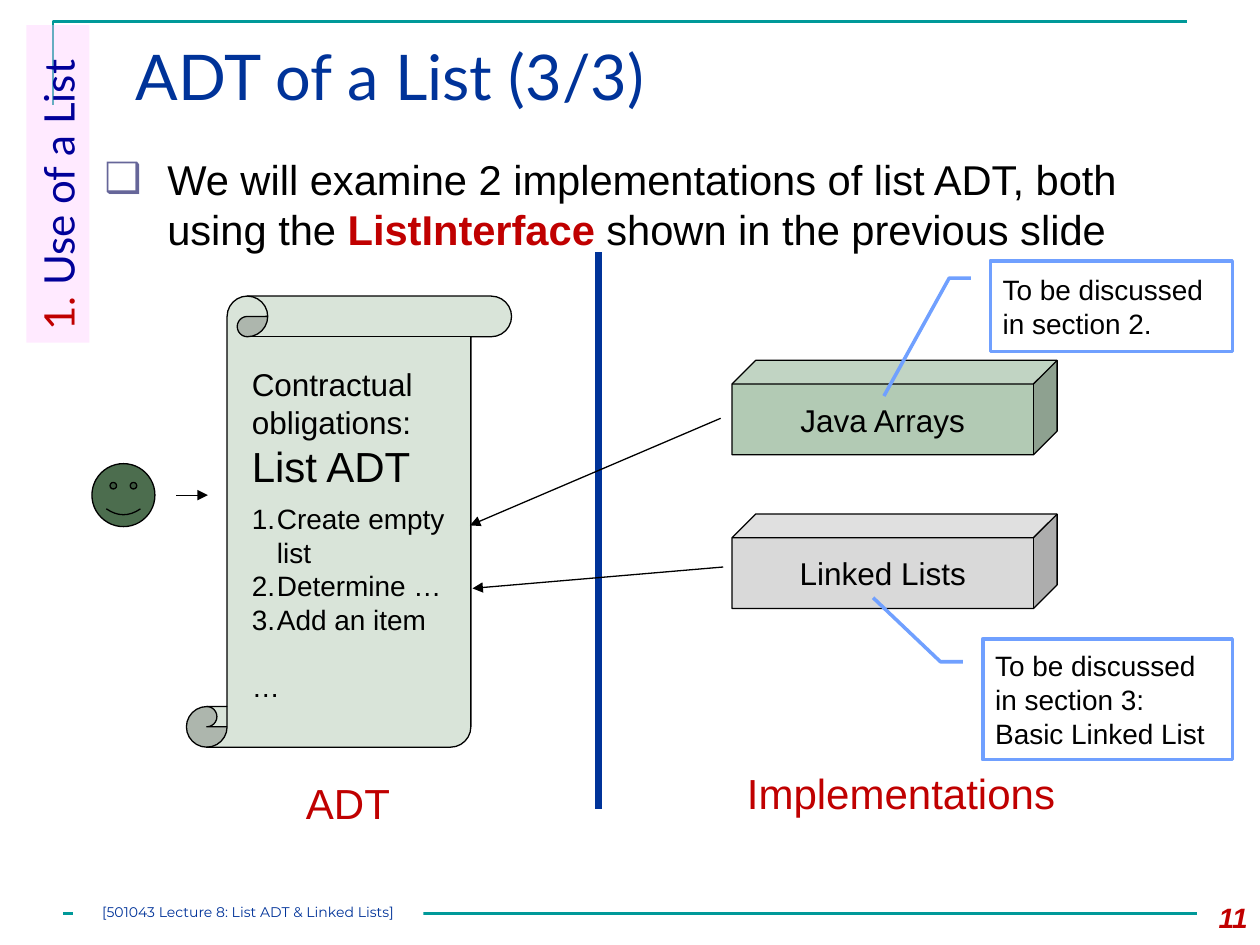
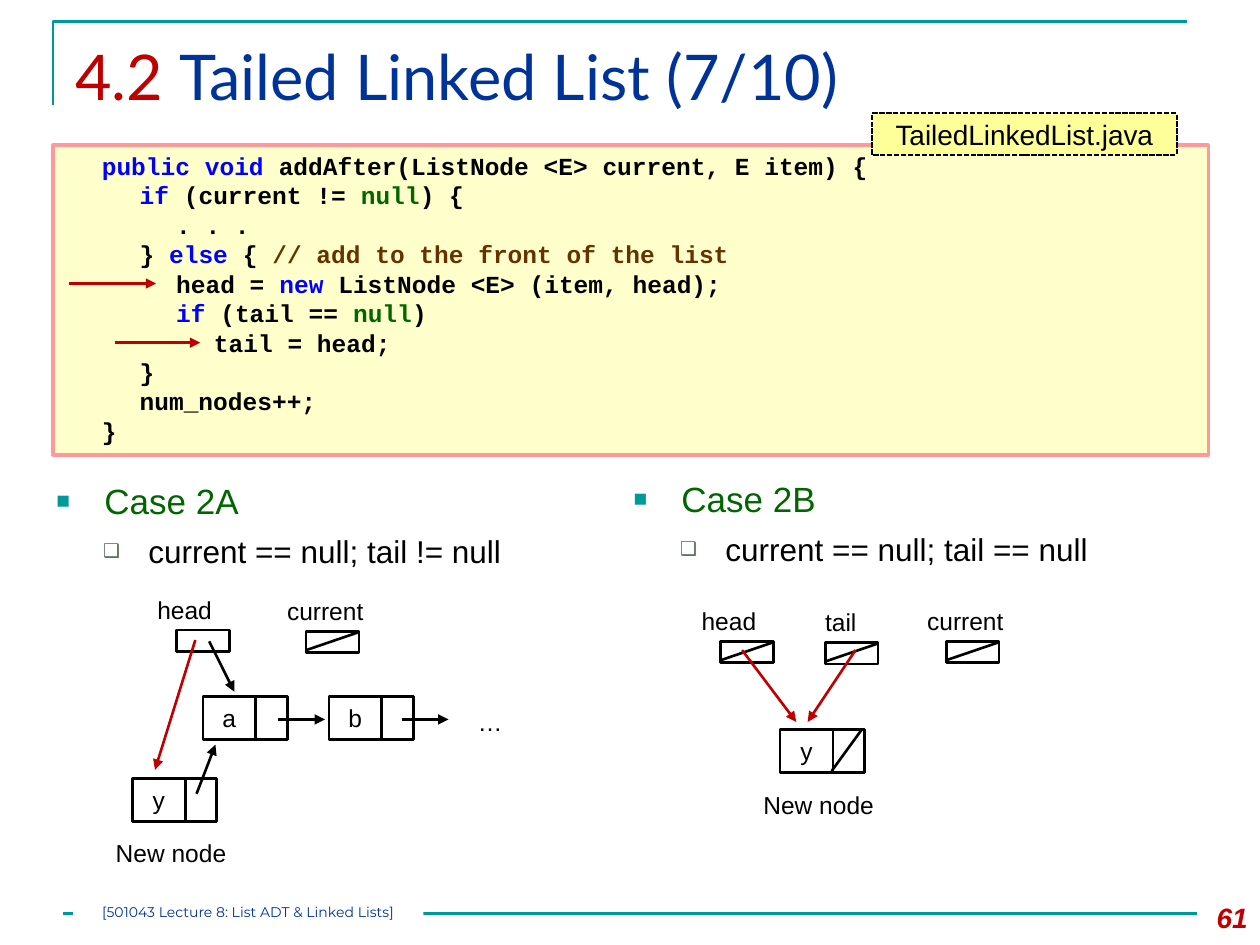
from lxml.etree import SubElement
from pptx import Presentation
from pptx.dml.color import RGBColor
from pptx.enum.dml import MSO_LINE
from pptx.enum.shapes import MSO_CONNECTOR, MSO_SHAPE
from pptx.enum.text import MSO_ANCHOR, PP_ALIGN
from pptx.oxml.ns import qn
from pptx.util import Pt

SCALE = 9144
BLACK, WHITE, RED, NAVY = "000000", "FFFFFF", "C00000", "003399"
TEAL, GREEN, BLUE, MOSS = "009999", "006600", "0000FF", "4C6D4E"
MID = {"vertical_anchor": MSO_ANCHOR.MIDDLE}
FLAT = {f"margin_{side}": 0 for side in ("left", "top", "right", "bottom")}


def px(size):
    return int(size * SCALE)


def tint(code):
    return RGBColor.from_string(code)


def apply(item, values):
    for name, value in values.items():
        setattr(item, name, value)


def para(*runs, left=0, hang=0, mark=None, **form):
    return {"runs": runs, "left": left, "hang": hang, "mark": mark, "form": form}


class Deck:
    def __init__(self):
        self.show = Presentation()
        apply(self.show, {"slide_width": px(1000), "slide_height": px(750)})
        self.look = {"name": "Arial", "size": 14, "color": BLACK}

    def page(self, left, title, number):
        self.slide = self.show.slides.add_slide(self.show.slide_layouts[6])
        self.shapes = self.slide.shapes
        corner = self.shapes.build_freeform(px(42), px(83), 1.0)
        corner.add_line_segments([(px(42), px(17)), (px(942), px(17))], close=False)
        edge = corner.convert_to_shape()
        edge.shadow.inherit = False
        edge.fill.background()
        self.stroke(edge, TEAL, 1.5)
        self.line(50, 725, 950, 725, color=TEAL, arrow=False)
        self.box((58, 717, 278, 20), ["[501043 Lecture 8: List ADT & Linked Lists]"],
                 fill=WHITE, align=PP_ALIGN.CENTER, frame=FLAT,
                 name="Montserrat", size=8, color=NAVY)
        self.text((left, 25, 950 - left, 86), [title], name="Lato", size=36, color=NAVY)
        self.text((933, 710, 67, 40), [number], align=PP_ALIGN.RIGHT,
                  size=16, color=RED, bold=True, italic=True)

    def stroke(self, item, color, width):
        item.line.color.rgb = tint(color)
        item.line.width = Pt(width)

    def bullet(self, part, mark):
        sign, color, size = mark
        props = part._p.get_or_add_pPr()
        if color:
            shade = SubElement(props, qn("a:buClr"))
            SubElement(shade, qn("a:srgbClr"), val=color)
        SubElement(props, qn("a:buSzPct"), val=str(size * 1000))
        SubElement(props, qn("a:buFont"), typeface="Arial")
        if sign == "1.":
            SubElement(props, qn("a:buAutoNum"), type="arabicPeriod")
        else:
            SubElement(props, qn("a:buChar"), char=sign)

    def typeset(self, frame, paras, align=PP_ALIGN.LEFT, **look):
        for index, item in enumerate(paras):
            item = item if isinstance(item, dict) else para(item)
            part = frame.add_paragraph() if index else frame.paragraphs[0]
            props = part._p.get_or_add_pPr()
            props.set("marL", str(px(item["left"])))
            props.set("indent", str(px(-item["hang"])))
            if item["mark"]:
                self.bullet(part, item["mark"])
            apply(part, {"alignment": align, **item["form"]})
            for run in item["runs"]:
                words, extra = (run, {}) if isinstance(run, str) else run
                font = {**self.look, **look, **extra}
                piece = part.add_run()
                piece.text = words
                piece.font.color.rgb = tint(font.pop("color"))
                font["size"] = Pt(font["size"])
                apply(piece.font, font)

    def text(self, spot, paras, frame={}, **look):
        item = self.shapes.add_textbox(*map(px, spot))
        apply(item.text_frame, {"word_wrap": True, **frame})
        self.typeset(item.text_frame, paras, **look)

    def box(self, spot, paras=(), kind=MSO_SHAPE.RECTANGLE, fill=None, line=None,
            width=1.5, bends=(), frame={}, **look):
        item = self.shapes.add_shape(kind, *map(px, spot))
        item.shadow.inherit = False
        if fill:
            item.fill.solid()
            item.fill.fore_color.rgb = tint(fill)
        else:
            item.fill.background()
        if line:
            self.stroke(item, line, width)
        else:
            item.line.fill.background()
        for index, bend in enumerate(bends):
            item.adjustments[index] = bend
        top = {"word_wrap": True, "vertical_anchor": MSO_ANCHOR.TOP}
        apply(item.text_frame, {**top, **frame})
        self.typeset(item.text_frame, paras, **look)
        return item

    def line(self, x1, y1, x2, y2, color=BLACK, width=1.5, arrow=True):
        item = self.shapes.add_connector(MSO_CONNECTOR.STRAIGHT, *map(px, (x1, y1, x2, y2)))
        self.stroke(item, color, width)
        SubElement(item._element.spPr, qn("a:effectLst"))
        if arrow:
            SubElement(item.line._get_or_add_ln(), qn("a:tailEnd"), type="triangle")

    def cube(self, top, name, fill):
        self.box((581, top, 258, 75), [name], MSO_SHAPE.CUBE, fill, BLACK, 0.75,
                 frame=MID, align=PP_ALIGN.CENTER, size=18)

    def note(self, spot, words, drop):
        self.box(spot, [words], MSO_SHAPE.LINE_CALLOUT_2, WHITE, "70A0FF", 2,
                 bends=(0.19, -0.08, 0.19, -0.17, drop, -0.44), frame=MID, size=16)

    def ref(self, left, top, name, null=True, inset=25):
        self.text((left, top, 86, 34), [name])
        x, y = left + inset, top + 33
        self.box((x, y, 42, 17), fill=WHITE, line=BLACK)
        if null:
            self.line(x, y + 15, x + 41, y + 1, arrow=False)

    def node(self, left, top, name):
        self.box((left, top, 42, 34), [name], line=BLACK, align=PP_ALIGN.CENTER)
        self.box((left + 42, top, 25, 34), line=BLACK)

    def case(self, left, top, name, test):
        self.text((left, top, 440, 103), [
            para((name, {"size": 20, "color": GREEN}),
                 left=38, hang=38, mark=("■", TEAL, 65)),
            para(test, left=73, hang=36, mark=("❑", MOSS, 60), space_before=Pt(6)),
        ], size=18)


def adt(deck):
    deck.page(98, "ADT of a List (3/3)", "11")
    deck.text((73, 117, 877, 97), [para(
        "We will examine 2 implementations of list ADT, both using the ",
        ("ListInterface ", {"color": RED, "bold": True}),
        "shown in the previous slide",
        left=50, hang=50, mark=("❑", "666699", 100))], size=23.8)
    deck.line(475, 200, 475, 642, NAVY, 4.5, False)

    deck.box((148, 235, 258, 358), kind=MSO_SHAPE.VERTICAL_SCROLL,
             fill="D9E4D9", line=BLACK, width=0.75)
    steps = ["Create empty list", "Determine …", "Add an item"]
    big = {"size": 18}
    deck.text((190, 285, 177, 281), [
        para(("Contractual", big)),
        para(("obligations:", big)),
        para(("List ADT", {"size": 24}), space_after=Pt(6)),
        *[para(step, left=20, hang=20, mark=("1.", None, 100)) for step in steps],
        para("…", space_before=Pt(19)),
    ], size=16)
    deck.box((73, 368, 50, 50), kind=MSO_SHAPE.SMILEY_FACE, fill=MOSS,
             line=BLACK, width=0.75)
    deck.line(140, 393, 165, 393, width=0.75)
    deck.line(572, 332, 373, 417, width=0.75)
    deck.line(574, 450, 375, 467, width=0.75)
    deck.cube(286, "Java Arrays", "B2CAB4")
    deck.cube(408, "Linked Lists", "D9D9D9")
    for spot, name in (((233, 612, 88, 50), "ADT"),
                       ((583, 604, 267, 50), "Implementations")):
        deck.text(spot, [name], frame={"word_wrap": False}, size=24, color=RED)
    deck.note((786, 207, 192, 72), "To be discussed in section 2.", 1.49)
    deck.note((780, 507, 198, 96),
              "To be discussed in section 3: Basic Linked List", -0.34)
    tab = deck.box((-80, 121, 252, 50),
                   [para(("1. ", {"color": RED}), "Use of a List")],
                   fill="FFCCFF", name="Lato", size=24, color="000099")
    tab.rotation = 270
    shade = tab._element.spPr.find(".//" + qn("a:srgbClr"))
    SubElement(shade, qn("a:alpha"), val="40000")


def tail(deck):
    deck.page(50, para(("4.2 ", {"color": RED}), "Tailed Linked List (7/10)"), "61")
    key, null = {"color": BLUE}, ("null", {"color": GREEN})
    code = [
        (1, ("public void ", key), "addAfter(ListNode <E> current, E item) {"),
        (2, ("if ", key), "(current != ", null, ") {"),
        (3, ". . ."),
        (2, "} ", ("else", key), " { ",
         ("// add to the front of the list", {"color": "663300"})),
        (3, "head = ", ("new", key), " ListNode <E> (item, head);"),
        (3, ("if", key), " (tail == ", null, ")"),
        (4, "tail = head;"),
        (2, "}"),
        (2, "num_nodes++;"),
        (1, "}"),
    ]
    deck.box((42, 115, 917, 246),
             [para(*runs, left=depth * 118 // 4) for depth, *runs in code],
             fill="FFFFCC", line="FF9999", width=2, name="Courier New", bold=True)
    label = deck.box((692, 90, 242, 33), ["TailedLinkedList.java"], fill="FFFF99",
                     line=BLACK, width=1, frame=MID, align=PP_ALIGN.CENTER, size=16)
    label.line.dash_style = MSO_LINE.SQUARE_DOT
    deck.line(55, 225, 124, 225, RED)
    deck.line(91, 272, 159, 272, RED)

    deck.case(35, 376, "Case 2A", "current == null; tail != null")
    deck.ref(115, 467, "head", null=False)
    deck.ref(218, 468, "current")
    for left, top, name in ((161, 553, "a"), (261, 553, "b"), (105, 618, "y")):
        deck.node(left, top, name)
    deck.text((365, 556, 48, 34), ["…"], align=PP_ALIGN.CENTER)
    deck.text((82, 660, 111, 34), ["New node"])
    deck.line(221, 571, 258, 571)
    deck.line(319, 571, 356, 571)
    deck.line(156, 630, 171, 591)
    deck.line(166, 509, 186, 549)
    deck.line(155, 508, 123, 611, RED)

    deck.case(493, 374, "Case 2B", "current == null; tail == null")
    deck.ref(547, 476, "head")
    deck.ref(645, 477, "tail", inset=10)
    deck.ref(726, 476, "current")
    deck.node(619, 579, "y")
    deck.line(660, 612, 684, 579, arrow=False)
    deck.text((596, 622, 111, 34), ["New node"])
    deck.line(679, 516, 641, 573, RED)
    deck.line(589, 516, 632, 573, RED)


def main():
    deck = Deck()
    adt(deck)
    tail(deck)
    deck.show.save("out.pptx")


if __name__ == "__main__":
    main()
